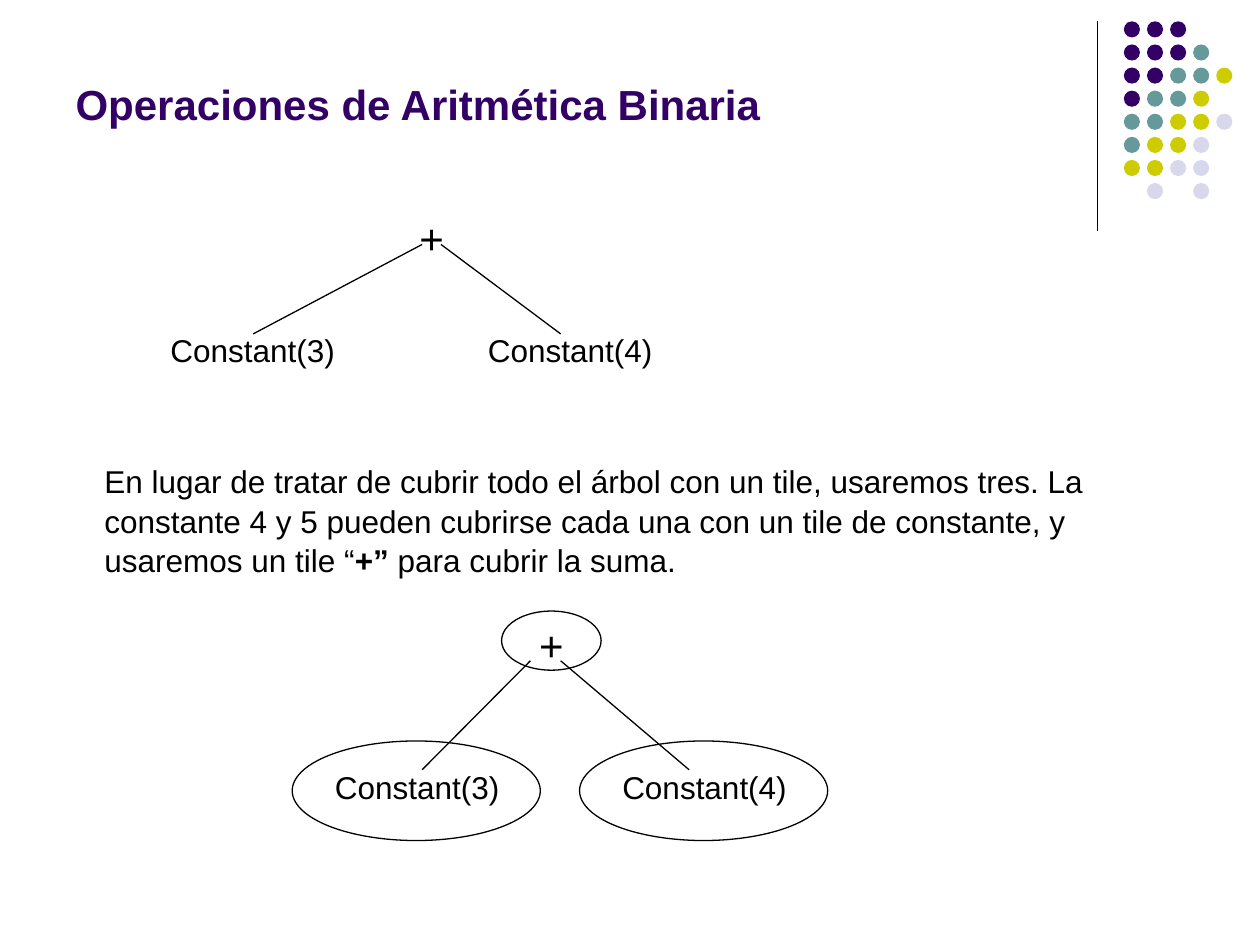
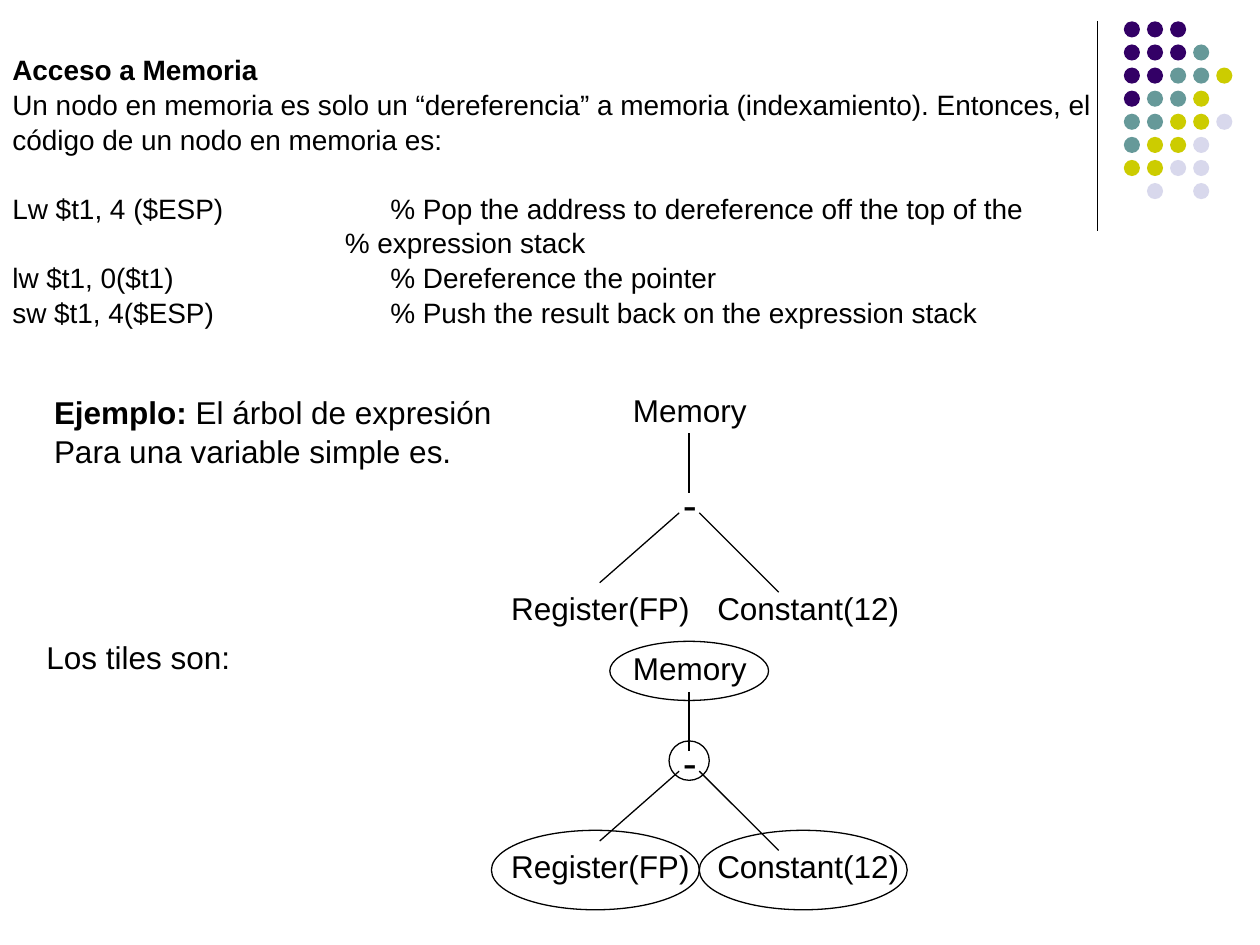
from lxml import etree
from pptx import Presentation
from pptx.dml.color import RGBColor
from pptx.enum.shapes import MSO_CONNECTOR, MSO_SHAPE
from pptx.enum.text import MSO_ANCHOR, PP_ALIGN
from pptx.oxml.ns import qn
from pptx.util import Pt

COLORS = {
    "ink": "000000",
    "purple": "330066",
    "teal": "669999",
    "yellow": "CCCC00",
    "lavender": "D8D8EC",
}
DOT_COLORS = {"P": "purple", "T": "teal", "Y": "yellow", "L": "lavender"}
DOT_ROWS = ["PPP", "PPPT", "PPTTY", "PTTY", "TTYYL", "TYYL", "YYLL", " L L"]
FONT = "Arial"
TITLE_ONLY, BLANK = 5, 6
LINE_HEIGHT = 1.04


def rgb(name):
    return RGBColor.from_string(COLORS[name])


class Deck:
    def __init__(self):
        self.prs = Presentation()
        self.prs.slide_width, self.prs.slide_height = Pt(720), Pt(540)
        self.s = None

    def new_slide(self, title=None):
        layout = self.prs.slide_layouts[TITLE_ONLY if title else BLANK]
        self.s = self.prs.slides.add_slide(layout)
        self.line(627, 12, 627, 132)
        self.dots()
        if title:
            self.title(title)

    def title(self, text):
        sp = self.s.shapes.title
        sp.left, sp.top, sp.width, sp.height = Pt(36), Pt(9.4), Pt(594), Pt(67.7)
        tf = sp.text_frame
        tf.text = text
        tf.word_wrap = True
        tf.vertical_anchor = MSO_ANCHOR.BOTTOM
        p = tf.paragraphs[0]
        p.alignment = PP_ALIGN.LEFT
        self.style(p.runs[0], 24, True, "purple")

    def dots(self):
        group = self.s.shapes.add_group_shape()
        pitch, size = 13.2, 9.2
        for row, codes in enumerate(DOT_ROWS):
            for col, code in enumerate(codes):
                if code in DOT_COLORS:
                    sp = group.shapes.add_shape(
                        MSO_SHAPE.OVAL, Pt(642.2 + col * pitch),
                        Pt(12.2 + row * pitch), Pt(size), Pt(size))
                    sp.shadow.inherit = False
                    sp.fill.solid()
                    sp.fill.fore_color.rgb = rgb(DOT_COLORS[code])
                    sp.line.fill.background()

    def style(self, r, size, bold=False, color="ink"):
        r.font.name = FONT
        r.font.size = Pt(size)
        r.font.bold = bold
        r.font.color.rgb = rgb(color)

    def text(self, x, y, w, h, lines, size=18, align=PP_ALIGN.LEFT):
        """Add a text box, one paragraph a line; parts between asterisks are bold."""
        sp = self.s.shapes.add_textbox(Pt(x), Pt(y), Pt(w), Pt(h))
        tf = sp.text_frame
        tf.word_wrap = True
        for i, line in enumerate(lines):
            p = tf.add_paragraph() if i else tf.paragraphs[0]
            p.alignment = align
            p.line_spacing = LINE_HEIGHT
            for j, part in enumerate(line.split("*")):
                if part:
                    r = p.add_run()
                    r.text = part
                    self.style(r, size, bold=j % 2 == 1)
        return tf.paragraphs

    def node(self, x, y, w, label, align=PP_ALIGN.CENTER):
        """Add a tree label; operators are larger than names."""
        size, h = (24, 36) if len(label) == 1 else (18, 28.8)
        self.text(x, y, w, h, [label], size, align)

    def line(self, x1, y1, x2, y2):
        cn = self.s.shapes.add_connector(
            MSO_CONNECTOR.STRAIGHT, Pt(x1), Pt(y1), Pt(x2), Pt(y2))
        cn.line.color.rgb = rgb("ink")
        cn.line.width = Pt(0.75)
        etree.SubElement(cn._element.spPr, qn("a:effectLst"))

    def tile(self, x, y, w, h):
        """Outline one tile of a tree with an ellipse."""
        sp = self.s.shapes.add_shape(MSO_SHAPE.OVAL, Pt(x), Pt(y), Pt(w), Pt(h))
        sp.shadow.inherit = False
        sp.fill.background()
        sp.line.color.rgb = rgb("ink")
        sp.line.width = Pt(0.75)

    def tab_stop(self, p, pos):
        tabs = etree.SubElement(p._p.get_or_add_pPr(), qn("a:tabLst"))
        etree.SubElement(tabs, qn("a:tab"), pos=str(Pt(pos)), algn="l")

    def indent(self, p, left):
        p._p.get_or_add_pPr().set("marL", str(Pt(left)))


def memory_tree(deck, top):
    deck.node(331.9, top, 124.6, "Memory")
    deck.line(393.8, top + 28.8, 393.8, top + 62.6)
    deck.node(331.9, top + 49.7, 124.6, "-")
    deck.line(388.1, top + 74.2, 342.7, top + 114.1)
    deck.line(399.6, top + 74.2, 445, top + 119.5)
    deck.node(280.8, top + 113.4, 124.6, "Register(FP)")
    deck.node(399.6, top + 113.4, 124.6, "Constant(12)")


def memory_tiles(deck, top):
    deck.tile(348.5, top, 90.7, 33.8)
    deck.tile(382.3, top + 56.9, 23, 22.5)
    for x in (280.8, 399.6):
        deck.tile(x, top + 108, 118.8, 45.4)


def arithmetic_slide(deck):
    deck.new_slide("Operaciones de Aritmética Binaria")
    deck.node(218.2, 116.6, 56.9, "+")
    deck.node(70.6, 185, 147.6, "Constant(3)")
    deck.node(252, 185, 147.6, "Constant(4)")
    deck.line(241.2, 139.7, 144.7, 190.8)
    deck.line(252, 139.7, 320.4, 190.8)

    deck.text(52.6, 259.9, 636.5, 72, [
        "En lugar de tratar de cubrir todo el árbol con un tile, usaremos tres. "
        "La constante 4 y 5 pueden cubrirse cada una con un tile de constante, "
        "y usaremos un tile “*+”* para cubrir la suma."])

    deck.tile(286.6, 349.2, 56.9, 33.8)
    deck.node(286.6, 349.2, 56.9, "+")
    for x, label in ((167, "Constant(3)"), (331.2, "Constant(4)")):
        deck.tile(x, 423.4, 141.8, 56.9)
        deck.node(x + 17.3, 434.2, 130.3, label, PP_ALIGN.LEFT)
    deck.line(303.1, 377.6, 241.2, 439.9)
    deck.line(320.4, 377.6, 393.8, 439.9)


def memory_slide(deck):
    deck.new_slide()
    paragraphs = deck.text(0, 25.9, 652.3, 180, [
        "*Acceso a Memoria*",
        "Un nodo en memoria es solo un “dereferencia” a memoria (indexamiento). "
        "Entonces, el código de un nodo en memoria es:",
        "Lw $t1, 4 ($ESP)\t% Pop the address to dereference off the top of the",
        "% expression stack",
        "lw $t1, 0($t1)\t% Dereference the pointer",
        "sw $t1, 4($ESP)\t% Push the result back on the expression stack",
    ], size=16)
    code = paragraphs[2:]
    code[0].space_before = Pt(19.1)
    deck.indent(code[1], 190)
    for p in (code[0], code[2], code[3]):
        deck.tab_stop(p, 216)

    deck.text(23.8, 220.3, 269.3, 50.4, [
        "*Ejemplo:* El árbol de expresión", "Para una variable simple es."])
    memory_tree(deck, 218.9)

    deck.text(19.4, 360, 238.3, 28.8, ["Los tiles son:"])
    memory_tree(deck, 366.5)
    memory_tiles(deck, 366.5)


def main():
    deck = Deck()
    arithmetic_slide(deck)
    memory_slide(deck)
    deck.prs.save("out.pptx")


if __name__ == "__main__":
    main()
